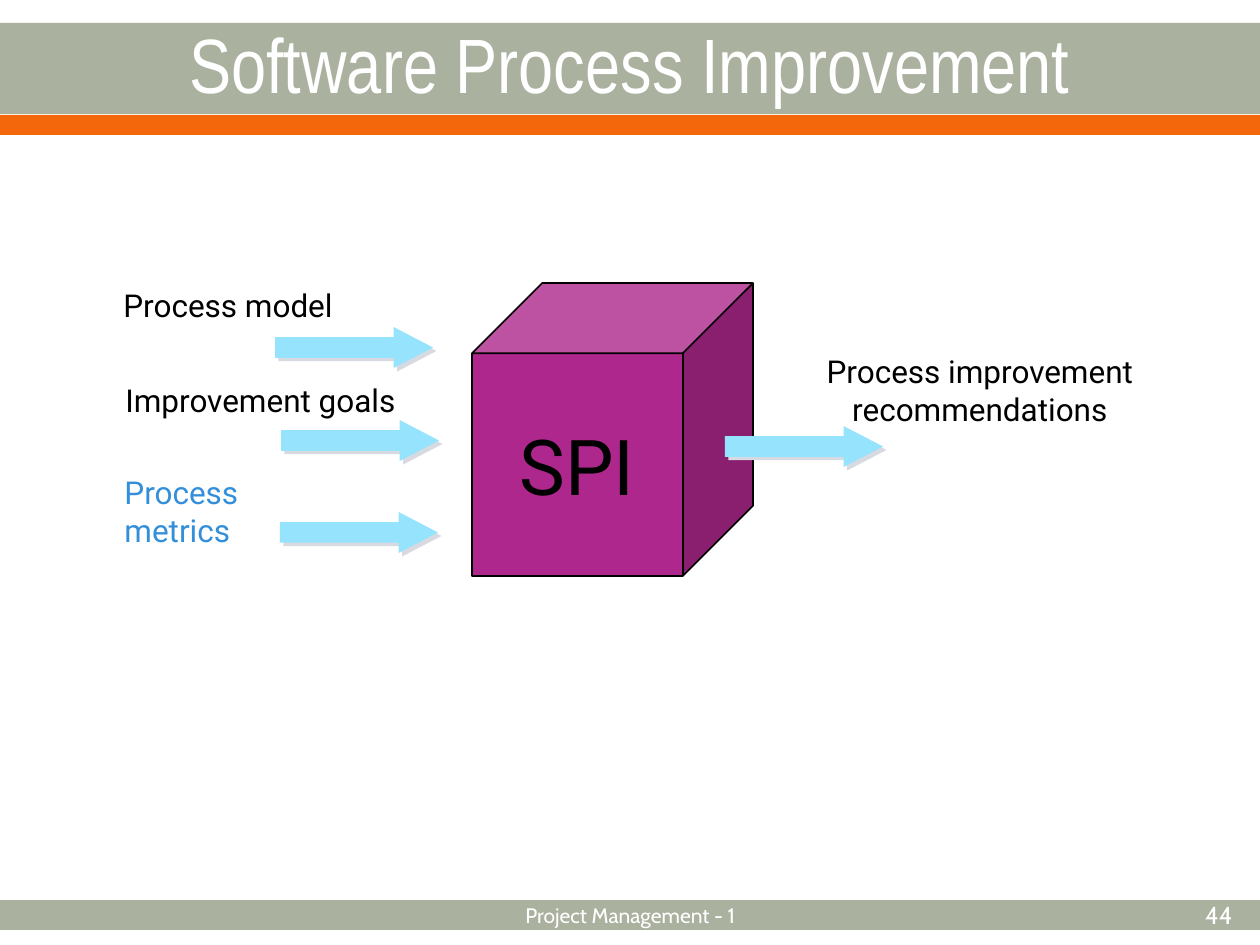
from dataclasses import dataclass
from lxml import etree
from pptx import Presentation, util as u
from pptx.dml.color import RGBColor
from pptx.enum import shapes, text
from pptx.oxml.ns import qn


@dataclass(frozen=True)
class Theme:
    white: str = "FFFFFF"
    black: str = "000000"
    sage: str = "ABB19F"
    orange: str = "F4680B"
    purple: str = "AD278D"
    sky: str = "96E3FE"
    shadow: str = "D7DAE1"
    blue: str = "338FD9"
    title_font: str = "Arial Narrow"
    body_font: str = "Roboto"
    footer_font: str = "Cabin"
    display_size: int = 44
    label_size: int = 18
    number_size: int = 14
    footer_size: int = 12


THEME = Theme()
LEFT, CENTER, RIGHT = text.PP_ALIGN.LEFT, text.PP_ALIGN.CENTER, text.PP_ALIGN.RIGHT
TOP, MIDDLE = text.MSO_ANCHOR.TOP, text.MSO_ANCHOR.MIDDLE

SLIDE_WIDTH, SLIDE_HEIGHT = 1260, 945
TITLE = ("Software Process Improvement", (0, 24, 1260, 78))
BANDS = [(23, 91, THEME.sage), (115, 20, THEME.orange), (900, 30, THEME.sage)]
FOOTERS = [
    ("Project Management - 1", (431, 890, 399, 50), CENTER, THEME.footer_size),
    ("44", (1027, 890, 218, 50), RIGHT, THEME.number_size),
]
CUBE = ("SPI", (472, 283, 281, 293))
ARROW_SIZE = (158, 41)
FLOWS = [
    (["Process model"], (111, 280, 250, 47), LEFT, THEME.black, (275, 327)),
    (["Improvement goals"], (113, 375, 314, 47), LEFT, THEME.black, (281, 420)),
    (["Process metrics"], (112, 467, 220, 84), LEFT, THEME.blue, (280, 512)),
    (["Process improvement", "recommendations"], (803, 346, 354, 81), CENTER,
     THEME.black, (725, 426)),
]


def px(value):
    return u.Emu(round(value * 914400 / 126))


def write(shape, lines, font, size, color, align, anchor, wrap=True):
    frame = shape.text_frame
    frame.text = "\n".join(lines)
    frame.auto_size = text.MSO_AUTO_SIZE.NONE
    frame.word_wrap = wrap
    frame.vertical_anchor = anchor
    for paragraph in frame.paragraphs:
        paragraph.alignment = align
        paragraph.font.name = font
        paragraph.font.size = u.Pt(size)
        paragraph.font.color.rgb = RGBColor.from_string(color)


def add_text(slide, box, *style):
    write(slide.shapes.add_textbox(*map(px, box)), *style)


def add_filled(slide, kind, box, color):
    shape = slide.shapes.add_shape(kind, *map(px, box))
    shape.shadow.inherit = False
    shape.fill.solid()
    shape.fill.fore_color.rgb = RGBColor.from_string(color)
    shape.line.fill.background()
    return shape


def add_arrow(slide, position):
    arrow = add_filled(slide, shapes.MSO_SHAPE.RIGHT_ARROW, position + ARROW_SIZE, THEME.sky)
    arrow.adjustments[1] = 0.96
    effects = arrow.element.spPr.find(qn("a:effectLst"))
    shadow = etree.SubElement(effects, qn("a:outerShdw"), dist=str(u.Pt(2.8)),
                              dir="2700000", algn="ctr", rotWithShape="0")
    etree.SubElement(shadow, qn("a:srgbClr"), val=THEME.shadow)


def add_cube(slide):
    label, box = CUBE
    cube = add_filled(slide, shapes.MSO_SHAPE.CUBE, box, THEME.purple)
    cube.adjustments[0] = 0.25
    cube.line.color.rgb = RGBColor.from_string(THEME.black)
    cube.line.width = u.Pt(1)
    write(cube, [label], THEME.body_font, THEME.display_size, THEME.black, CENTER, MIDDLE, False)


def add_title(slide):
    label, box = TITLE
    title = slide.shapes.title
    title.left, title.top, title.width, title.height = map(px, box)
    write(title, [label], THEME.title_font, THEME.display_size, THEME.white, CENTER, MIDDLE)
    title.element.getparent().append(title.element)


def main():
    presentation = Presentation()
    presentation.slide_width, presentation.slide_height = px(SLIDE_WIDTH), px(SLIDE_HEIGHT)
    slide = presentation.slides.add_slide(presentation.slide_layouts.get_by_name("Title Only"))
    for top, height, color in BANDS:
        add_filled(slide, shapes.MSO_SHAPE.RECTANGLE, (0, top, SLIDE_WIDTH, height), color)
    add_title(slide)
    for label, box, align, size in FOOTERS:
        add_text(slide, box, [label], THEME.footer_font, size, THEME.white, align, MIDDLE)
    add_cube(slide)
    for lines, box, align, color, arrow in FLOWS:
        add_arrow(slide, arrow)
        add_text(slide, box, lines, THEME.body_font, THEME.label_size, color, align, TOP)
    presentation.save("out.pptx")


if __name__ == "__main__":
    main()
